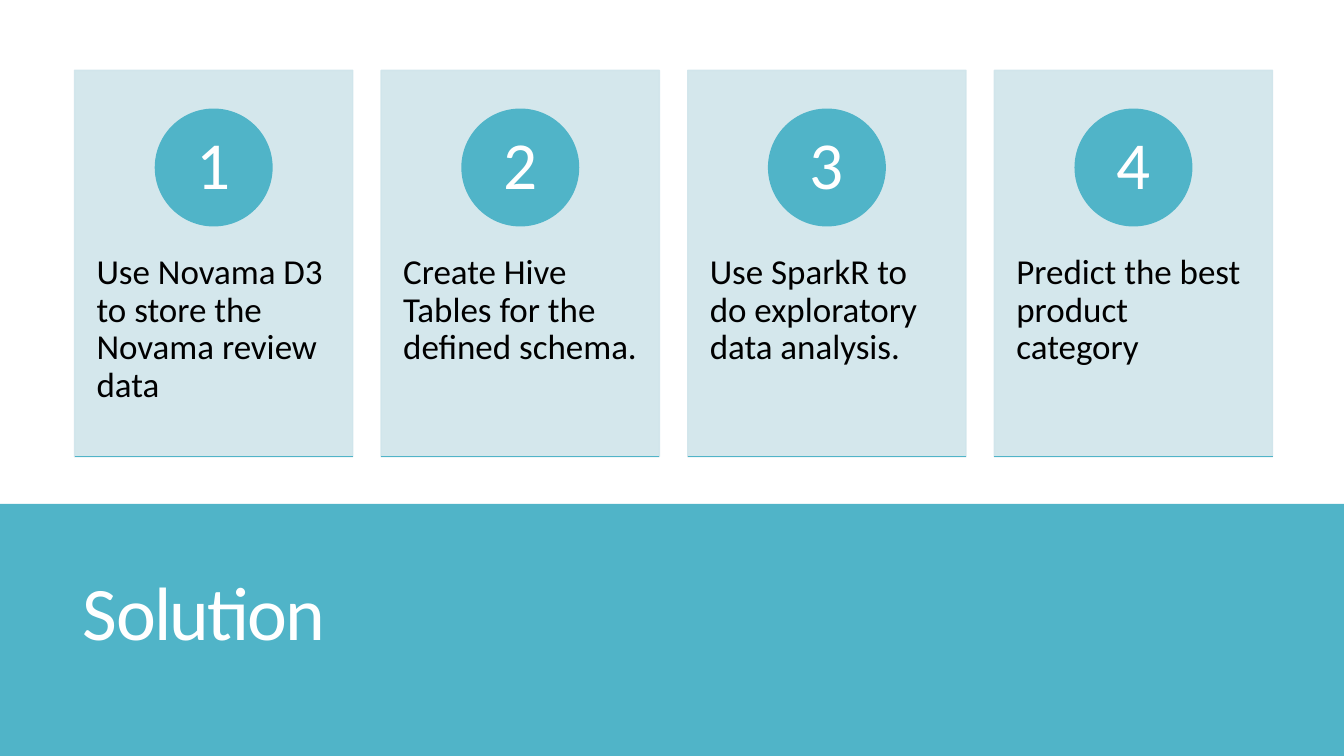
import dataclasses

import lxml.etree
import pptx
import pptx.dml.color
import pptx.enum.shapes
import pptx.enum.text
import pptx.oxml.ns
import pptx.util

SHAPES = pptx.enum.shapes.MSO_SHAPE
ANCHOR = pptx.enum.text.MSO_ANCHOR
ALIGN = pptx.enum.text.PP_ALIGN
qn = pptx.oxml.ns.qn


@dataclasses.dataclass(frozen=True)
class Theme:
    font: str = "Calibri"
    accent: str = "50B4C8"
    card: str = "D0E5EB"
    light: str = "FFFFFF"
    dark: str = "000000"
    title_size: int = 54
    number_size: int = 48
    body_size: int = 25
    line_width: int = 1
    card_opacity: int = 90


def px(length):
    return pptx.util.Emu(length * 9525)


def rgb(value):
    return pptx.dml.color.RGBColor.from_string(value)


class SlideBuilder:
    def __init__(self, page, theme):
        self.page = page
        self.theme = theme

    def shape(self, kind, left, top, width, height, color, opacity=100):
        shape = self.page.shapes.add_shape(kind, px(left), px(top), px(width), px(height))
        shape.shadow.inherit = False
        shape.fill.solid()
        shape.fill.fore_color.rgb = rgb(color)
        shape.line.color.rgb = rgb(color)
        shape.line.width = pptx.util.Pt(self.theme.line_width)
        if opacity < 100:
            for tint in shape.element.spPr.iter(qn("a:srgbClr")):
                lxml.etree.SubElement(tint, qn("a:alpha"), val=str(opacity * 1000))
        return shape

    def set_text(self, shape, text, size, color, align, anchor, margins, spacing=0.9):
        frame = shape.text_frame
        frame.word_wrap = True
        frame.auto_size = pptx.enum.text.MSO_AUTO_SIZE.NONE
        frame.vertical_anchor = anchor
        frame.margin_left = frame.margin_right = px(margins[0])
        frame.margin_top = px(margins[1])
        frame.margin_bottom = 0
        para = frame.paragraphs[0]
        para.text = text
        para.alignment = align
        para.line_spacing = spacing
        para.font.name = self.theme.font
        para.font.size = pptx.util.Pt(size)
        para.font.color.rgb = rgb(color)

    def title(self, text, left, top, width, height):
        title = self.page.shapes.title
        title.left, title.top, title.width, title.height = map(px, (left, top, width, height))
        self.set_text(title, text, self.theme.title_size, self.theme.light,
                      ALIGN.LEFT, ANCHOR.MIDDLE, (10, 0), 0.85)
        for style in title.element.iter(qn("a:defRPr")):
            style.set("spc", "-120")

    def band(self, top, width, height):
        band = self.shape(SHAPES.RECTANGLE, 0, top, width, height, self.theme.accent)
        band.line.fill.background()
        self.page.shapes.title.element.addprevious(band.element)

    def rule(self, left, top, width):
        line = self.page.shapes.add_connector(
            pptx.enum.shapes.MSO_CONNECTOR.STRAIGHT,
            px(left), px(top), px(left + width), px(top))
        line.line.color.rgb = rgb(self.theme.accent)
        line.line.width = pptx.util.Pt(self.theme.line_width)
        lxml.etree.SubElement(line.element.spPr, qn("a:effectLst"))

    def card(self, number, text, left, top, width, height):
        theme = self.theme
        box = self.shape(SHAPES.RECTANGLE, left, top, width, height,
                         theme.card, theme.card_opacity)
        self.set_text(box, text, theme.body_size, theme.dark,
                      ALIGN.LEFT, ANCHOR.TOP, (21, 175))
        diameter = 111
        badge = self.shape(SHAPES.OVAL, left + (width - diameter) // 2, top + 37,
                           diameter, diameter, theme.accent)
        self.set_text(badge, str(number), theme.number_size, theme.light,
                      ALIGN.CENTER, ANCHOR.MIDDLE, (8, 0))
        self.rule(left, top + height, width)


def main():
    deck = pptx.Presentation()
    deck.slide_width, deck.slide_height = px(1280), px(720)
    page = deck.slides.add_slide(deck.slide_layouts.get_by_name("Title Only"))
    builder = SlideBuilder(page, Theme())
    builder.band(480, 1280, 240)
    builder.title("Solution", 69, 501, 1131, 174)
    steps = (
        "Use Novama D3 to store the Novama review data",
        "Create Hive Tables for the defined schema.",
        "Use SparkR to do exploratory data analysis.",
        "Predict the best product category",
    )
    for index, step in enumerate(steps):
        builder.card(index + 1, step, 71 + index * 292, 67, 265, 368)
    deck.save("out.pptx")


if __name__ == "__main__":
    main()
